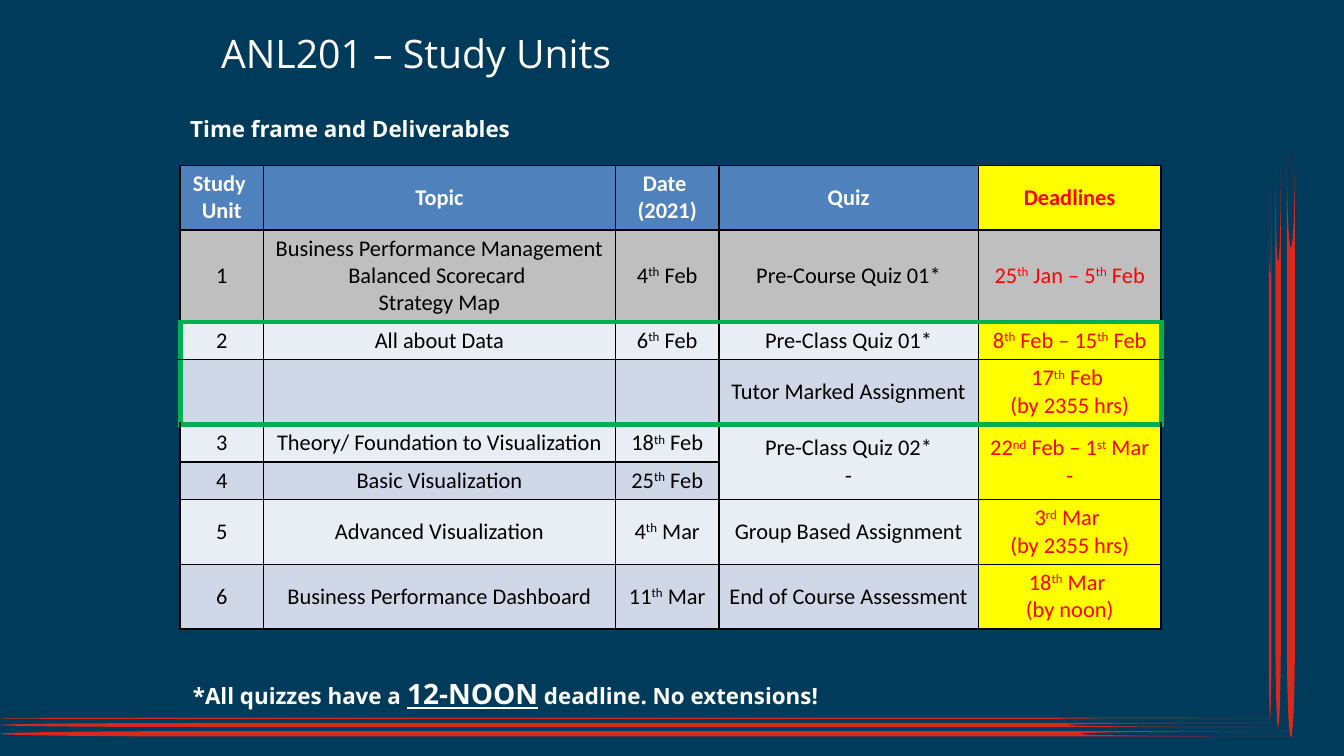
from dataclasses import dataclass

from lxml import etree
from pptx import Presentation
from pptx.dml.color import RGBColor
from pptx.enum.shapes import MSO_SHAPE
from pptx.enum.text import MSO_ANCHOR, MSO_AUTO_SIZE, PP_ALIGN
from pptx.oxml.ns import qn
from pptx.util import Inches, Pt

STRIP = MSO_SHAPE.FLOWCHART_STORED_DATA
TOP, MIDDLE = MSO_ANCHOR.TOP, MSO_ANCHOR.MIDDLE
LEFT, CENTER = PP_ALIGN.LEFT, PP_ALIGN.CENTER
NO_FIT = MSO_AUTO_SIZE.NONE


@dataclass(frozen=True)
class Theme:
    background: str = "003B5C"
    strip: str = "DA291C"
    light: str = "FFFFFF"
    dark: str = "000000"
    header: str = "4F81BD"
    done: str = "BFBFBF"
    bands: tuple = ("E9EDF4", "D0D8E8")
    deadline: str = "FFFF00"
    alert: str = "FF0000"
    current: str = "00B050"
    heading_font: str = "Open Sans"
    table_font: str = "Calibri"
    title_size: int = 21
    stress_size: int = 15
    text_size: int = 12
    inset_x: int = Pt(5.4)
    inset_y: int = Pt(2.7)
    hanging: int = Inches(0.28)


COLUMNS = [0.62, 2.62, 0.77, 1.93, 1.36]
ROW_HEIGHTS = [0.47, 0.68, 0.28, 0.47, 0.28, 0.28, 0.47, 0.47]
# Ordinal endings stand between carets; a newline starts a paragraph.
ROWS = [
    ["Study \nUnit", "Topic", "Date \n(2021)", "Quiz", "Deadlines"],
    ["1", "Business Performance Management\nBalanced Scorecard \nStrategy Map",
     "4^th^ Feb", "Pre-Course Quiz 01*", "25^th^ Jan – 5^th^ Feb"],
    ["2", "All about Data", "6^th^ Feb", "Pre-Class Quiz 01*",
     "8^th^ Feb – 15^th^ Feb"],
    ["", "", "", "Tutor Marked Assignment", "17^th^ Feb \n(by 2355 hrs)"],
    ["3", "Theory/ Foundation to Visualization", "18^th^ Feb",
     "Pre-Class Quiz 02*\n-", "22^nd^ Feb – 1^st^ Mar\n-"],
    ["4", "Basic Visualization", "25^th^ Feb", "", ""],
    ["5", "Advanced Visualization", "4^th^ Mar", "Group Based Assignment",
     "3^rd^ Mar \n(by 2355 hrs)"],
    ["6", "Business Performance Dashboard", "11^th^ Mar",
     "End of Course Assessment", "18^th^ Mar \n(by noon)"],
]
DONE_ROW = 1
CURRENT_ROWS = (2, 3)
MERGE_ROWS, MERGE_COLUMNS = (4, 5), (3, 4)
DEADLINE_COLUMN = len(COLUMNS) - 1

# left, top, width, height
BOTTOM_STRIPS = [(0, 5.34, 9.45, 0.01), (0, 5.38, 9.53, 0.03),
                 (0, 5.44, 9.64, 0.04)]
SIDE_STRIPS = [(7.47, 3.36, 3.96, 0.02), (7.43, 3.31, 4.16, 0.04),
               (7.42, 3.27, 4.37, 0.06)]


def rgb(color):
    return RGBColor.from_string(color)


def add_text(p, text, font, size, color, bold=False, underline=False):
    """Add text to a paragraph, raising the parts between carets."""
    for i, part in enumerate(text.split("^")):
        if not part:
            continue
        r = p.add_run()
        r.text = part
        r.font.name, r.font.size = font, Pt(size)
        r.font.bold, r.font.underline = bold, underline
        r.font.color.rgb = rgb(color)
        if i % 2:
            r.font._element.set("baseline", "30000")


def set_border(cell, side, color, width):
    """Draw one side (L, R, T or B) of a cell; call before filling it."""
    ln = etree.SubElement(cell._tc.get_or_add_tcPr(), qn(f"a:ln{side}"),
                          w=str(Pt(width)))
    fill = etree.SubElement(ln, qn("a:solidFill"))
    etree.SubElement(fill, qn("a:srgbClr"), val=color)


def is_current_edge(row, col, side):
    """Tell whether a cell side lies on the frame of the current unit."""
    first, last = CURRENT_ROWS
    if side == "T":
        return row in (first, last + 1)
    if side == "B":
        return row in (first - 1, last)
    edge_col = 0 if side == "L" else len(COLUMNS) - 1
    return row in CURRENT_ROWS and col == edge_col


class SlideBuilder:
    def __init__(self, slide, theme):
        self.s, self.theme = slide, theme

    def background(self):
        fill = self.s.background.fill
        fill.solid()
        fill.fore_color.rgb = rgb(self.theme.background)

    def strip(self, box, rotation=0):
        sp = self.s.shapes.add_shape(STRIP, *map(Inches, box))
        sp.rotation = rotation
        sp.shadow.inherit = False
        sp.fill.solid()
        sp.fill.fore_color.rgb = rgb(self.theme.strip)
        sp.line.fill.background()

    def set_insets(self, target):
        t = self.theme
        target.margin_left = target.margin_right = t.inset_x
        target.margin_top = target.margin_bottom = t.inset_y

    def heading(self, sp, box, runs, hanging=True):
        """Place a one-line heading made of (text, format) runs."""
        t = self.theme
        sp.left, sp.top, sp.width, sp.height = map(Inches, box)
        tf = sp.text_frame
        tf.word_wrap, tf.auto_size, tf.vertical_anchor = True, NO_FIT, TOP
        self.set_insets(tf)
        p = tf.paragraphs[0]
        p.alignment, p.space_before = LEFT, 0
        if hanging:
            pPr = p._p.get_or_add_pPr()
            pPr.set("marL", str(t.hanging))
            pPr.set("indent", str(-t.hanging))
            etree.SubElement(pPr, qn("a:buNone"))
        for text, style in runs:
            add_text(p, text, t.heading_font, color=t.light, **style)

    def cell_fill(self, row, col):
        t = self.theme
        if row == DONE_ROW:
            return t.done
        if col == DEADLINE_COLUMN:
            return t.deadline
        return t.header if row == 0 else t.bands[row % 2]

    def cell(self, cell, row, col, text):
        t = self.theme
        for side in "LRTB":
            current = is_current_edge(row, col, side)
            set_border(cell, side, t.current if current else t.dark,
                       3 if current else 1)
        cell.fill.solid()
        cell.fill.fore_color.rgb = rgb(self.cell_fill(row, col))
        cell.vertical_anchor = MIDDLE
        self.set_insets(cell)
        color = t.light if row == 0 else t.dark
        if col == DEADLINE_COLUMN:
            color = t.alert
        tf = cell.text_frame
        for i, line in enumerate(text.split("\n")):
            p = tf.add_paragraph() if i else tf.paragraphs[0]
            p.alignment = CENTER
            add_text(p, line, t.table_font, t.text_size, color, bold=row == 0)

    def schedule(self, left, top):
        size = map(Inches, (left, top, sum(COLUMNS), sum(ROW_HEIGHTS)))
        table = self.s.shapes.add_table(len(ROWS), len(COLUMNS), *size).table
        for column, width in zip(table.columns, COLUMNS):
            column.width = Inches(width)
        for row, height in zip(table.rows, ROW_HEIGHTS):
            row.height = Inches(height)
        first, last = MERGE_ROWS
        for col in MERGE_COLUMNS:
            table.cell(first, col).merge(table.cell(last, col))
        for i, texts in enumerate(ROWS):
            for j, text in enumerate(texts):
                cell = table.cell(i, j)
                if not cell.is_spanned:
                    self.cell(cell, i, j, text)


def main():
    prs = Presentation()
    prs.slide_width = Inches(10)
    prs.slide_height = prs.slide_width * 9 // 16
    s = prs.slides.add_slide(prs.slide_layouts[1])
    theme = Theme()
    builder = SlideBuilder(s, theme)
    strong = {"size": theme.text_size, "bold": True}
    stress = {"size": theme.stress_size, "bold": True, "underline": True}

    builder.background()
    for box in BOTTOM_STRIPS:
        builder.strip(box)
    for box in SIDE_STRIPS:
        builder.strip(box, rotation=270)
    builder.heading(s.shapes.title, (1.57, 0.18, 6.19, 0.5),
                    [("ANL201 – Study Units", {"size": theme.title_size})],
                    hanging=False)
    builder.heading(s.placeholders[1], (1.34, 0.82, 6.19, 0.25),
                    [("Time frame and Deliverables", strong)])
    builder.schedule(1.34, 1.23)
    builder.heading(s.shapes.add_textbox(0, 0, 0, 0), (1.36, 5, 6.19, 0.25),
                    [("*All quizzes have a ", strong), ("12-NOON", stress),
                     (" deadline. No extensions!", strong)])
    prs.save("out.pptx")


if __name__ == "__main__":
    main()
